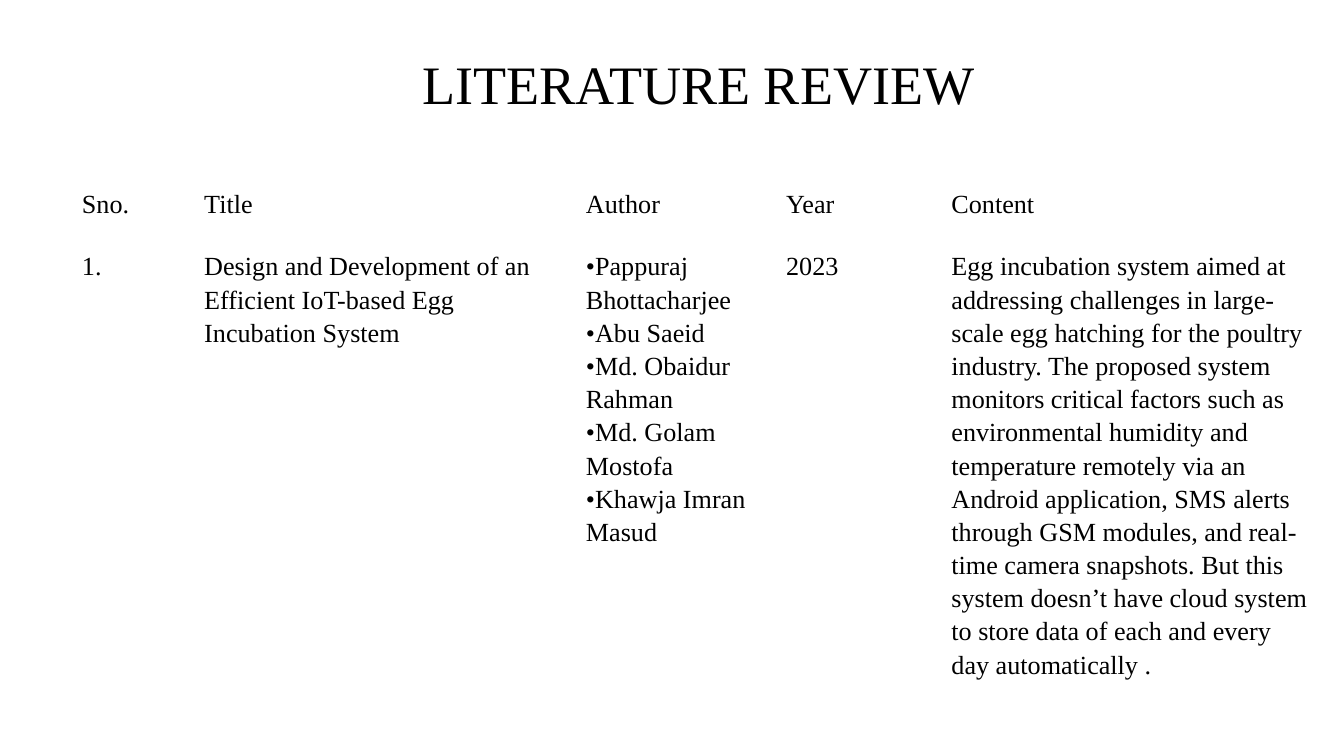
from pptx import Presentation
from pptx import util as u
from pptx.dml.color import RGBColor
from pptx.enum import text

TITLE = "LITERATURE REVIEW"
HEADER = ["Sno.", "Title", "Author", "Year", "Content"]
STUDIES = [
    [
        "1.",
        "Design and Development of an Efficient IoT-based Egg Incubation System",
        "\n".join([
            "•Pappuraj Bhottacharjee",
            "•Abu Saeid",
            "•Md. Obaidur Rahman",
            "•Md. Golam Mostofa",
            "•Khawja Imran Masud",
        ]),
        "2023",
        "Egg incubation system aimed at addressing challenges in large-scale egg "
        "hatching for the poultry industry. The proposed system monitors critical "
        "factors such as environmental humidity and temperature remotely via an "
        "Android application, SMS alerts through GSM modules, and real-time camera "
        "snapshots. But this system doesn’t have cloud system to store data of each "
        "and every day automatically .",
    ],
]
COLUMNS = [0.91, 2.84, 1.49, 1.23, 2.9]
ROWS = [0.33, 4.72]
FRAME = 3.28
FONT, INK, INSET = "Times New Roman", "000000", 0.1


def color(value):
    return RGBColor.from_string(value)


def style(p, size):
    p.font.name = FONT
    p.font.size = u.Pt(size)
    p.font.color.rgb = color(INK)


def set_margins(box):
    box.margin_left = box.margin_right = u.Inches(INSET)
    box.margin_top = box.margin_bottom = u.Inches(INSET)


prs = Presentation()
prs.slide_width = u.Inches(10)
prs.slide_height = u.Inches(10 * 9 / 16)
s = prs.slides.add_slide(prs.slide_layouts[6])

# Title
sp = s.shapes.add_textbox(*map(u.Inches, (0.54, 0.16, 9.32, 0.92)))
tf = sp.text_frame
tf.word_wrap = True
tf.vertical_anchor = text.MSO_ANCHOR.MIDDLE
set_margins(tf)
p = tf.paragraphs[0]
p.text = TITLE
p.alignment = text.PP_ALIGN.CENTER
style(p, 29)

# Plain table of reviewed studies
cells = [HEADER] + STUDIES
frame = s.shapes.add_table(
    len(cells), len(COLUMNS), u.Inches(0.51), u.Inches(1.28),
    u.Inches(FRAME), u.Inches(FRAME))
table = frame.table
table.first_row = table.horz_banding = False
for column, width in zip(table.columns, COLUMNS):
    column.width = u.Inches(width)
for row, height, values in zip(table.rows, ROWS, cells):
    row.height = u.Inches(height)
    for cell, value in zip(row.cells, values):
        cell.fill.background()
        set_margins(cell)
        cell.text = value
        for p in cell.text_frame.paragraphs:
            p.line_spacing = 1.15
            style(p, 14)

# The rows grow with their text, so the frame keeps its own size
frame.width = frame.height = u.Inches(FRAME)

prs.save("out.pptx")
